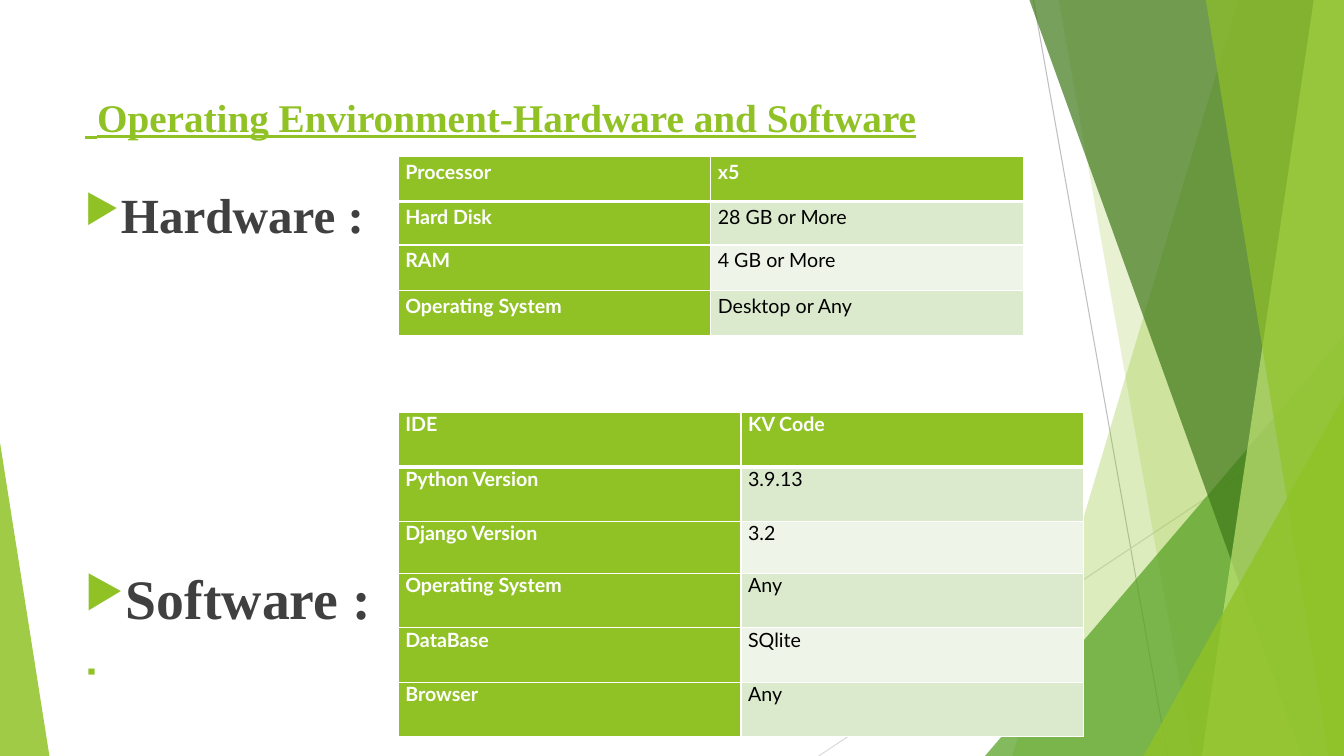
"""Build the operating environment slide with its hardware and software tables."""
from dataclasses import dataclass

import pptx
import pptx.dml.color
import pptx.enum.shapes
import pptx.enum.text
import pptx.oxml
import pptx.oxml.ns
import pptx.util
from pptx.util import Inches


@dataclass(frozen=True)
class Theme:
    green: str = "90C226"
    leaf: str = "54A021"
    forest: str = "3F7819"
    lime: str = "C0E474"
    band_dark: str = "DBE9CD"
    band_light: str = "EEF4E8"
    white: str = "FFFFFF"
    black: str = "000000"
    heading: str = "404040"
    line_dark: str = "BFBFBF"
    line_light: str = "D9D9D9"
    serif: str = "Times New Roman"
    sans: str = "Lato"
    title_lead_size: float = 36
    title_size: float = 28
    hardware_size: float = 35.1
    software_size: float = 39.8
    small_size: float = 16.6
    table_size: float = 14


THEME = Theme()
PAGE_WIDTH, PAGE_HEIGHT = 13.33, 7.5

HARDWARE = [
    ("Processor", "x5"),
    ("Hard Disk", "28 GB or More"),
    ("RAM", "4 GB or More"),
    ("Operating System", "Desktop or Any"),
]
SOFTWARE = [
    ("IDE", "KV Code"),
    ("Python Version", "3.9.13"),
    ("Django Version", "3.2"),
    ("Operating System", "Any"),
    ("DataBase", "SQlite"),
    ("Browser", "Any"),
]


def rgb(color):
    return pptx.dml.color.RGBColor.from_string(color)


def add_xml(parent, name, attributes="", content=""):
    """Append one drawing element to a parent element."""
    namespace = pptx.oxml.ns.nsdecls("a")
    parent.append(pptx.oxml.parse_xml(
        f"<a:{name} {namespace} {attributes}>{content}</a:{name}>"))


def style_span(span, font, size, color, bold=True):
    span.font.name = font
    span.font.size = pptx.util.Pt(size)
    span.font.color.rgb = rgb(color)
    span.font.bold = bold


def paint(shape, color, opacity):
    """Give a shape a translucent fill without outline or shadow."""
    shape.shadow.inherit = False
    shape.line.fill.background()
    shape.fill.solid()
    shape.fill.fore_color.rgb = rgb(color)
    fill = shape._element.spPr.find(pptx.oxml.ns.qn("a:solidFill"))
    add_xml(fill[0], "alpha", f'val="{opacity * 1000}"')


def add_thin_line(page, start, end, color):
    line = page.shapes.add_connector(
        pptx.enum.shapes.MSO_CONNECTOR.STRAIGHT, *map(Inches, start + end))
    line.line.color.rgb = rgb(color)
    line.line.width = pptx.util.Pt(0.75)
    add_xml(line._element.spPr, "effectLst")


def add_band(page, top_left, bottom_left, color, opacity):
    """Draw a full-height band that runs to the right edge of the page."""
    corners = [(PAGE_WIDTH, 0), (PAGE_WIDTH, PAGE_HEIGHT), (bottom_left, PAGE_HEIGHT)]
    builder = page.shapes.build_freeform(Inches(top_left), 0)
    builder.add_line_segments([(Inches(x), Inches(y)) for x, y in corners])
    paint(builder.convert_to_shape(), color, opacity)


def add_corner(page, left, top, width, apex, color, opacity):
    """Draw a triangle standing on the bottom edge of the page."""
    triangle = page.shapes.add_shape(
        pptx.enum.shapes.MSO_SHAPE.ISOSCELES_TRIANGLE,
        Inches(left), Inches(top), Inches(width), Inches(PAGE_HEIGHT - top))
    triangle.adjustments[0] = apex
    paint(triangle, color, opacity)


def add_decoration(page):
    add_thin_line(page, (10.25, 0), (11.58, PAGE_HEIGHT), THEME.line_dark)
    add_thin_line(page, (PAGE_WIDTH, 4.03), (8.12, PAGE_HEIGHT), THEME.line_light)
    add_band(page, 12.28, 10.04, THEME.green, 30)
    add_band(page, 10.5, 11.83, THEME.green, 20)
    add_corner(page, 9.77, 3.33, 3.56, 1, THEME.leaf, 72)
    add_band(page, 10.21, 12.91, THEME.forest, 70)
    add_band(page, 13.03, 11.92, THEME.lime, 70)
    add_band(page, 11.96, 13.18, THEME.green, 65)
    add_corner(page, 11.34, 3.93, 1.99, 1, THEME.green, 80)
    add_corner(page, 0, 4.39, 0.49, 0, THEME.green, 85)


def add_text_frame(page, left, top, width, height, top_inset):
    box = page.shapes.add_textbox(*map(Inches, (left, top, width, height)))
    box.text_frame.word_wrap = True
    box.text_frame.margin_top = Inches(top_inset)
    return box.text_frame


def add_title(page):
    frame = add_text_frame(page, 0.74, 0.67, 9.4, 1.44, 0.1)
    para = frame.paragraphs[0]
    para.line_spacing = 1.07
    for text, size in ((" ", THEME.title_lead_size),
                       ("Operating Environment-Hardware and Software", THEME.title_size)):
        span = para.add_run()
        span.text = text
        style_span(span, THEME.serif, size, THEME.green)
        span.font.underline = True


def add_bullet(para, symbol, indent):
    properties = para._p.get_or_add_pPr()
    properties.set("marL", str(Inches(indent)))
    properties.set("indent", str(Inches(-indent)))
    add_xml(properties, "buClr", content=f'<a:srgbClr val="{THEME.green}"/>')
    add_xml(properties, "buSzPct", 'val="80000"')
    add_xml(properties, "buChar", f'char="{symbol}"')


def add_headings(page):
    frame = add_text_frame(page, 0.74, 1.55, 9.4, 5.65, 0.28)
    headings = [
        ("Hardware :", THEME.hardware_size, "▶", 0.25, 0),
        ("Software :", THEME.software_size, "▶", 0.28, 229),
        (" ", THEME.small_size, "▪", 0.38, 21),
    ]
    frame.text = "\n".join(heading[0] for heading in headings)
    for para, (_, size, symbol, indent, gap) in zip(frame.paragraphs, headings):
        para.space_before = pptx.util.Pt(gap)
        add_bullet(para, symbol, indent)
        style_span(para.runs[0], THEME.serif, size, THEME.heading)


def set_borders(cell, top, bottom):
    """Draw white cell borders with the given top and bottom widths."""
    properties = cell._tc.get_or_add_tcPr()
    white = f'<a:solidFill><a:srgbClr val="{THEME.white}"/></a:solidFill>'
    for side, width in (("L", 1), ("R", 1), ("T", top), ("B", bottom)):
        add_xml(properties, f"ln{side}", f'w="{pptx.util.Pt(width)}"', white)


def fill_cell(cell, text, row, column, line_spacing):
    is_label = row == 0 or column == 0
    band = THEME.band_dark if row % 2 else THEME.band_light
    set_borders(cell, 3 if row == 1 else 1, 3 if row == 0 else 1)
    cell.fill.solid()
    cell.fill.fore_color.rgb = rgb(THEME.green if is_label else band)
    cell.margin_left = cell.margin_right = Inches(0.07)
    cell.margin_top = cell.margin_bottom = 0
    cell.text_frame.text = text
    para = cell.text_frame.paragraphs[0]
    para.line_spacing = line_spacing
    para.space_before = pptx.util.Pt(0.1)
    style_span(para.runs[0], THEME.sans, THEME.table_size,
               THEME.white if is_label else THEME.black, is_label)


def add_facts(page, facts, top, column_width, row_heights, line_spacing):
    """Add a two-column table of labels and values."""
    frame = page.shapes.add_table(
        len(facts), 2, Inches(3.95), Inches(top),
        Inches(2 * column_width), Inches(sum(row_heights)))
    table = frame.table
    for column in table.columns:
        column.width = Inches(column_width)
    for row, (fact, height) in enumerate(zip(facts, row_heights)):
        table.rows[row].height = Inches(height)
        for column, text in enumerate(fact):
            fill_cell(table.cell(row, column), text, row, column, line_spacing)


def main():
    deck = pptx.Presentation()
    deck.slide_width, deck.slide_height = Inches(PAGE_WIDTH), Inches(PAGE_HEIGHT)
    page = deck.slides.add_slide(deck.slide_layouts[6])
    add_decoration(page)
    add_title(page)
    add_headings(page)
    add_facts(page, HARDWARE, 1.55, 3.1, [0.45, 0.43, 0.45, 0.45], 1.15)
    add_facts(page, SOFTWARE, 4.09, 3.4, [0.54, 0.54, 0.52, 0.54, 0.54, 0.54], 1.0)
    deck.save("out.pptx")


if __name__ == "__main__":
    main()
